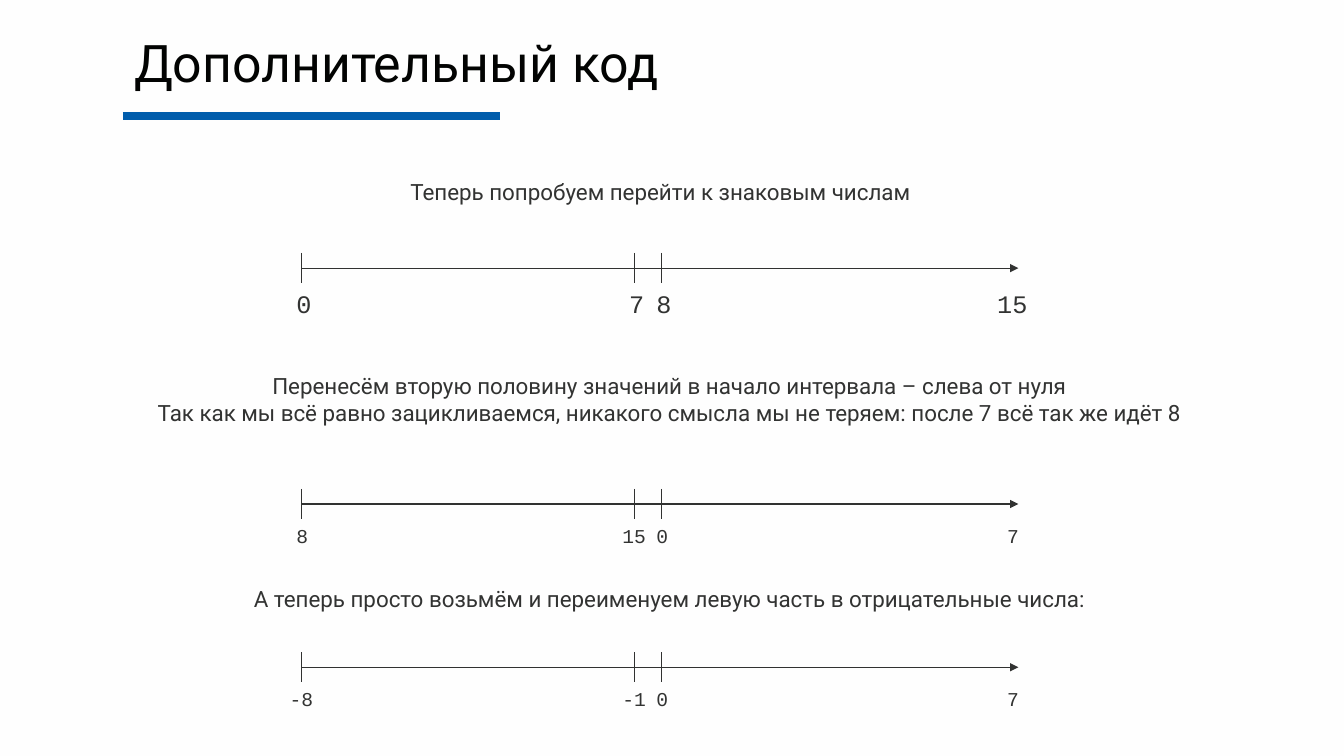
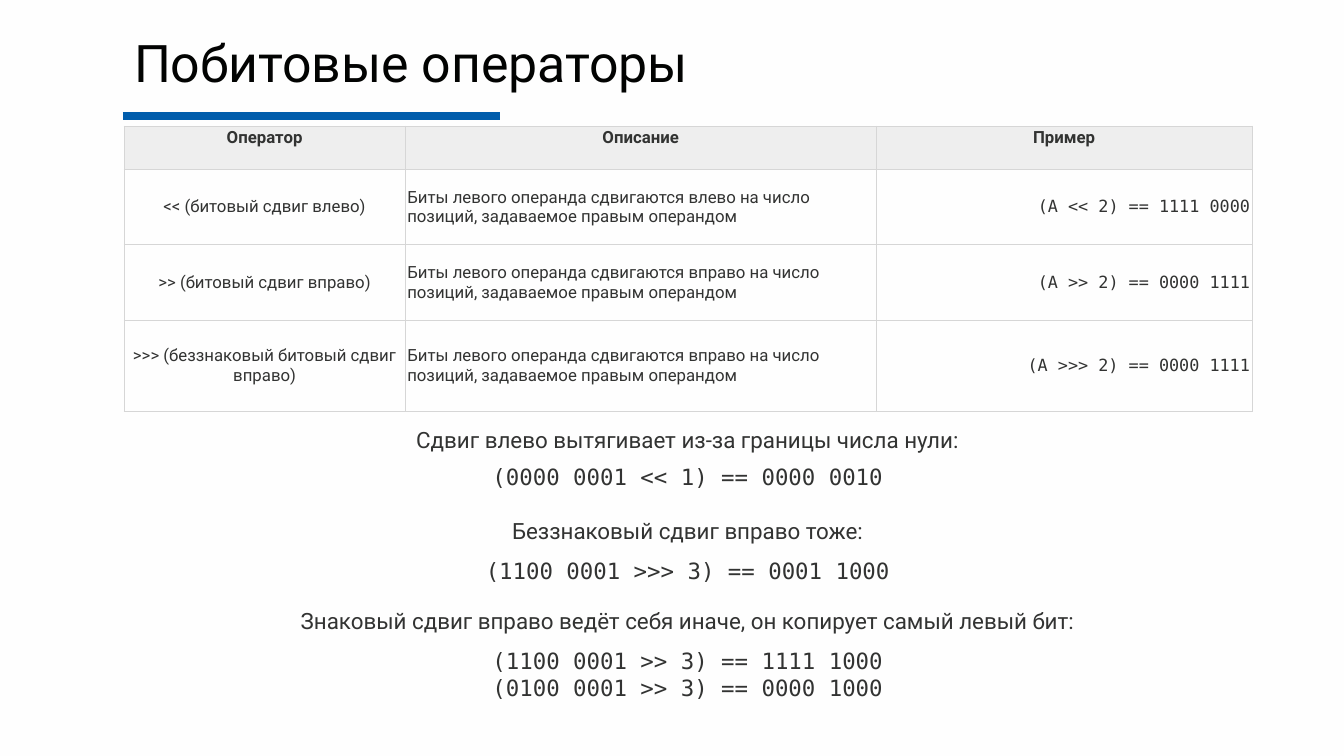
from lxml.etree import SubElement
from pptx import Presentation
from pptx.dml.color import RGBColor
from pptx.enum.shapes import MSO_CONNECTOR
from pptx.enum.text import MSO_ANCHOR, PP_ALIGN
from pptx.oxml import parse_xml
from pptx.oxml.ns import nsdecls, qn
from pptx.util import Inches, Pt

COLOURS = {
    "background": "FEFEFE",
    "accent": "015DAC",
    "title": "020302",
    "text": "323332",
    "axis": "313231",
    "header": "EEEEEE",
    "border": "D6D6D6",
}
SANS, AXIS_FONT, CODE_FONT = "Roboto", "Courier New", "DejaVu Sans Mono"
TEXT_WIDTH = 10.64

# Number lines: caption left and top, caption lines, axis height, label size, labels
NUMBER_LINES = [
    (1.23, 1.72, ["Теперь попробуем перейти к знаковым числам"],
     2.66, 18, ["0", "7", "8", "15"]),
    (1.32, 3.64,
     ["Перенесём вторую половину значений в начало интервала – слева от нуля",
      "Так как мы всё равно зацикливаемся, никакого смысла мы не теряем: "
      "после 7 всё так же идёт 8"],
     5, 14, ["8", "15", "0", "7"]),
    (1.32, 5.76,
     ["А теперь просто возьмём и переименуем левую часть в отрицательные числа:"],
     6.62, 14, ["-8", "-1", "0", "7"]),
]
TICKS = [2.99, 6.29, 6.56]
AXIS_END, LAST_LABEL = 10.1, 10.04
TICK_HALF = 0.15

HEADERS = ["Оператор", "Описание", "Пример"]
SHIFT_MEANING = ("Биты левого операнда сдвигаются {} на число позиций, "
                 "задаваемое правым операндом")
OPERATORS = [
    ("<< (битовый сдвиг влево)", SHIFT_MEANING.format("влево"),
     "(A << 2) == 1111 0000"),
    (">> (битовый сдвиг вправо)", SHIFT_MEANING.format("вправо"),
     "(A >> 2) == 0000 1111"),
    (">>> (беззнаковый битовый сдвиг вправо)", SHIFT_MEANING.format("вправо"),
     "(A >>> 2) == 0000 1111"),
]
COLUMN_WIDTHS = [2.79, 4.67, 3.73]
ROW_HEIGHTS = [0.43, 0.75, 0.75, 0.9]
COLUMN_FORMATS = [
    {"align": PP_ALIGN.CENTER},
    {"align": PP_ALIGN.LEFT},
    {"align": PP_ALIGN.RIGHT, "font": CODE_FONT},
]

# Shift examples: explanation top, explanation, code top, code lines
EXAMPLES = [
    (4.18, "Сдвиг влево вытягивает из-за границы числа нули:",
     4.55, ["(0000 0001 << 1) == 0000 0010"]),
    (5.08, "Беззнаковый сдвиг вправо тоже:",
     5.48, ["(1100 0001 >>> 3) == 0001 1000"]),
    (5.97, "Знаковый сдвиг вправо ведёт себя иначе, он копирует самый левый бит:",
     6.37, ["(1100 0001 >> 3) == 1111 1000", "(0100 0001 >> 3) == 0000 1000"]),
]


def colour(name):
    return RGBColor.from_string(COLOURS[name])


def write(frame, lines, size=16, font=SANS, ink="text", bold=False,
          align=PP_ALIGN.CENTER, spacing=None):
    for index, line in enumerate(lines):
        para = frame.paragraphs[0] if index == 0 else frame.add_paragraph()
        para.alignment = align
        if spacing:
            para.line_spacing = spacing
        span = para.add_run()
        span.text = line
        span.font.size = Pt(size)
        span.font.name = font
        span.font.bold = bold
        span.font.color.rgb = colour(ink)


def add_text(page, left, top, width, lines, **text_format):
    height = 0.1 + 0.27 * len(lines)
    box = page.shapes.add_textbox(
        Inches(left), Inches(top), Inches(width), Inches(height))
    frame = box.text_frame
    frame.word_wrap = True
    frame.margin_left = frame.margin_right = Inches(0.05)
    frame.margin_top = frame.margin_bottom = Inches(0.05)
    write(frame, lines, **text_format)


def add_line(page, start, end, ink="axis", width=0.75, arrow=False):
    line = page.shapes.add_connector(
        MSO_CONNECTOR.STRAIGHT, *(Inches(value) for value in (*start, *end)))
    line.line.color.rgb = colour(ink)
    line.line.width = Pt(width)
    properties = line.element.spPr
    if arrow:
        SubElement(properties.find(qn("a:ln")), qn("a:tailEnd"), type="triangle")
    SubElement(properties, qn("a:effectLst"))


def add_page(deck, heading):
    """Add a slide with the shared title style and accent rule."""
    page = deck.slides.add_slide(deck.slide_layouts[5])
    title = page.shapes.title
    title.left, title.top = Inches(1.23), Inches(0.39)
    title.width, title.height = Inches(TEXT_WIDTH), Inches(0.6)
    title.text_frame.vertical_anchor = MSO_ANCHOR.MIDDLE
    write(title.text_frame, [heading], size=37, ink="title",
          align=PP_ALIGN.LEFT, spacing=0.7)
    add_line(page, (1.22, 1.15), (4.96, 1.15), ink="accent", width=6)
    return page


def add_number_line(page, axis, size, labels):
    add_line(page, (TICKS[0], axis), (AXIS_END, axis), arrow=True)
    for tick in TICKS:
        add_line(page, (tick, axis - TICK_HALF), (tick, axis + TICK_HALF))
    for centre, label in zip([*TICKS, LAST_LABEL], labels):
        width = 0.2 if len(label) == 1 else 0.6
        add_text(page, centre - width / 2, axis + TICK_HALF, width, [label],
                 size=size, font=AXIS_FONT)


def add_borders(cell):
    properties = cell._tc.get_or_add_tcPr()
    for index, side in enumerate(("lnL", "lnR", "lnT", "lnB")):
        properties.insert(index, parse_xml(
            f'<a:{side} {nsdecls("a")} w="{Pt(0.75)}"><a:solidFill>'
            f'<a:srgbClr val="{COLOURS["border"]}"/></a:solidFill></a:{side}>'))


def add_operator_table(page):
    rows = [HEADERS, *OPERATORS]
    table = page.shapes.add_table(
        len(rows), len(HEADERS), Inches(1.23), Inches(1.25),
        Inches(sum(COLUMN_WIDTHS)), Inches(sum(ROW_HEIGHTS))).table
    table.first_row = table.horz_banding = False
    for column, width in zip(table.columns, COLUMN_WIDTHS):
        column.width = Inches(width)
    for row, height in zip(table.rows, ROW_HEIGHTS):
        row.height = Inches(height)
    for row_index, texts in enumerate(rows):
        for column_index, text in enumerate(texts):
            cell = table.cell(row_index, column_index)
            cell.margin_left = cell.margin_right = Inches(0.02)
            cell.margin_top = cell.margin_bottom = Inches(0.02)
            if row_index == 0:
                cell.vertical_anchor = MSO_ANCHOR.TOP
                cell.fill.solid()
                cell.fill.fore_color.rgb = colour("header")
                text_format = {"bold": True}
            else:
                cell.vertical_anchor = MSO_ANCHOR.MIDDLE
                cell.fill.background()
                text_format = COLUMN_FORMATS[column_index]
            write(cell.text_frame, [text], size=12, **text_format)
            add_borders(cell)


def main():
    deck = Presentation()
    deck.slide_width, deck.slide_height = Inches(13.33), Inches(7.5)
    backdrop = deck.slide_master.background.fill
    backdrop.solid()
    backdrop.fore_color.rgb = colour("background")

    page = add_page(deck, "Дополнительный код")
    for left, top, caption, axis, size, labels in NUMBER_LINES:
        add_text(page, left, top, TEXT_WIDTH, caption)
        add_number_line(page, axis, size, labels)

    page = add_page(deck, "Побитовые операторы")
    add_operator_table(page)
    for top, explanation, code_top, code in EXAMPLES:
        add_text(page, 1.5, top, TEXT_WIDTH, [explanation])
        add_text(page, 1.5, code_top, TEXT_WIDTH, code, font=CODE_FONT)

    deck.save("out.pptx")


if __name__ == "__main__":
    main()
